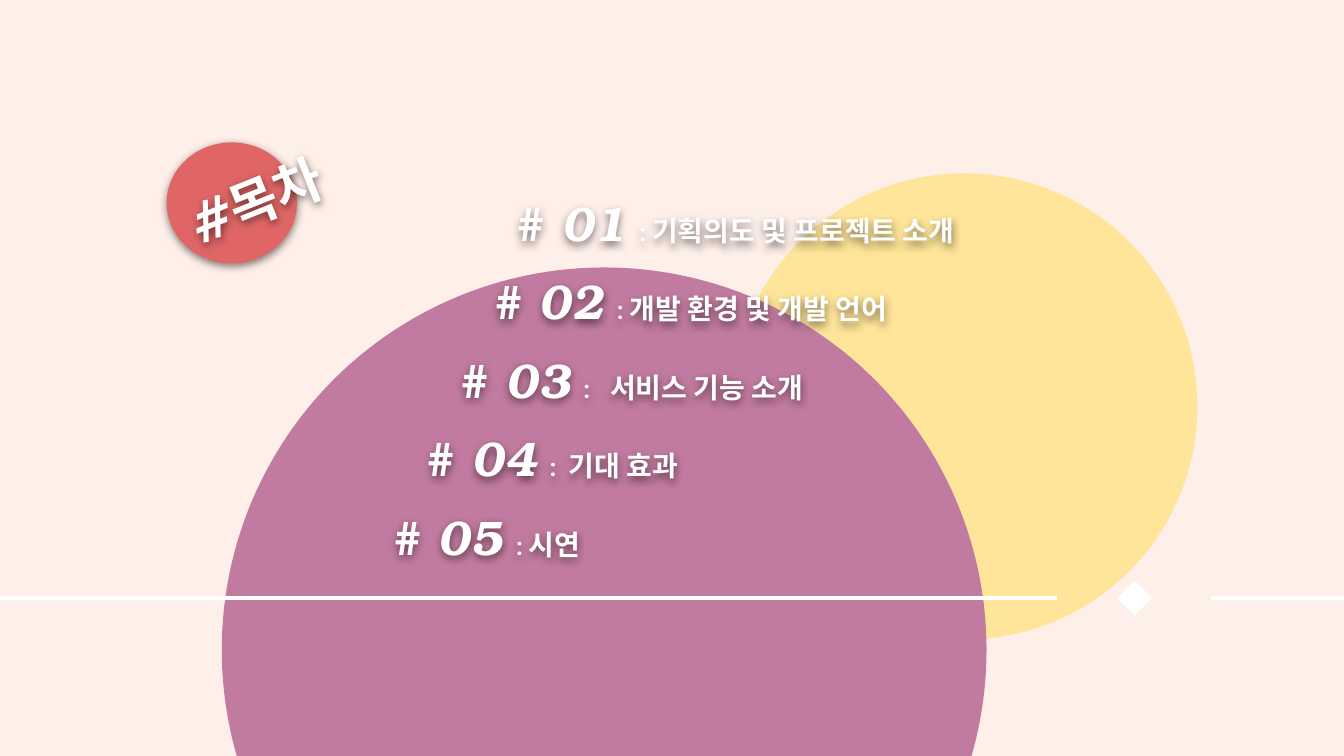
from lxml import etree
from pptx import Presentation
from pptx.dml.color import RGBColor
from pptx.enum.shapes import MSO_CONNECTOR, MSO_SHAPE
from pptx.enum.text import MSO_ANCHOR
from pptx.oxml.ns import qn
from pptx.util import Pt

OVAL, DIAMOND = MSO_SHAPE.OVAL, MSO_SHAPE.DIAMOND
STRAIGHT, TOP = MSO_CONNECTOR.STRAIGHT, MSO_ANCHOR.TOP

THEME = {
    "bg": "FFEFE9", "yellow": "FFE599", "purple": "C27BA0", "red": "E06666",
    "white": "FFFFFF", "shadow": "000000",
    "display": "TeX Gyre Bonum", "body": "Roboto", "hash": "Cambria",
    "hash_size": 36, "title_size": 28, "number_size": 26,
    "colon_size": 13, "item_size": 15,
}

# Content: number, separator, label, left edge
TITLE = ("#", "목차")
ITEMS = [
    ("# 01", "  : ", "기획의도 및 프로젝트 소개", 267),
    ("# 02", "  : ", "개발 환경 및 개발 언어", 255),
    ("# 03", "  : ", "  서비스 기능 소개", 237),
    ("# 04", "  :  ", "기대 효과", 219),
    ("# 05", "  : ", "시연", 201),
]
FIRST_TOP, ROW_STEP = 91.5, 42
LINE_Y, DIAMOND_SIZE, DIAMOND_LEFT = 320.4, 18.7, 598.5
LINES = [(0, 566), (649, 720)]


def color(name):
    return RGBColor.from_string(THEME[name])


def add_shadow(shape):
    effects = etree.SubElement(shape._element.spPr, qn("a:effectLst"))
    shadow = etree.SubElement(effects, qn("a:outerShdw"), blurRad=str(Pt(4.5)),
                              dist=str(Pt(1.5)), dir="5400000",
                              algn="bl", rotWithShape="0")
    rgb = etree.SubElement(shadow, qn("a:srgbClr"), val=THEME["shadow"])
    etree.SubElement(rgb, qn("a:alpha"), val="50000")


def add_solid(s, kind, fill, left, top, width, height):
    sp = s.shapes.add_shape(kind, Pt(left), Pt(top), Pt(width), Pt(height))
    sp.shadow.inherit = False
    sp.fill.solid()
    sp.fill.fore_color.rgb = color(fill)
    sp.line.fill.background()
    return sp


def add_text(s, runs, left, top, width, height):
    sp = s.shapes.add_textbox(Pt(left), Pt(top), Pt(width), Pt(height))
    add_shadow(sp)
    tf = sp.text_frame
    tf.word_wrap = True
    tf.vertical_anchor = TOP
    tf.margin_left = tf.margin_right = tf.margin_top = tf.margin_bottom = Pt(7.2)
    p = tf.paragraphs[0]
    p.font.bold = True
    p.font.color.rgb = color("white")
    for text, font, size, italic in runs:
        r = p.add_run()
        r.text = text
        r.font.name, r.font.size = THEME[font], Pt(THEME[size])
        r.font.italic = italic
        r.font.bold = True
        r.font.color.rgb = color("white")
    return sp


prs = Presentation()
prs.slide_width, prs.slide_height = Pt(720), Pt(405)
s = prs.slides.add_slide(prs.slide_layouts[6])
s.background.fill.solid()
s.background.fill.fore_color.rgb = color("bg")

# Circles
add_solid(s, OVAL, "yellow", 391.7, 92.9, 249.8, 249.8)
add_solid(s, OVAL, "purple", 118.8, 143.3, 409.7, 409.7)
badge = add_solid(s, OVAL, "red", 89.3, 76.3, 69.8, 64.8)
badge._element.spPr.remove(badge._element.spPr.find(qn("a:effectLst")))
add_shadow(badge)

# Tilted title
hash_mark, word = TITLE
title = add_text(s, [(hash_mark, "hash", "hash_size", True),
                     (word, "display", "title_size", False)], 90, 69.8, 118, 49.7)
title.rotation = 338.2

# Contents list
for i, (number, colon, label, left) in enumerate(ITEMS):
    sp = add_text(s, [(number, "display", "number_size", True),
                      (colon, "body", "colon_size", False),
                      (label, "body", "item_size", False)],
                  left, FIRST_TOP + i * ROW_STEP, 381.6, 27.4)
    p = sp.text_frame.paragraphs[0]
    p.line_spacing, p.space_after = 1.15, Pt(16)

# Rule broken by a diamond
for start, end in LINES:
    line = s.shapes.add_connector(STRAIGHT, Pt(start), Pt(LINE_Y), Pt(end), Pt(LINE_Y))
    line.line.color.rgb = color("white")
    line.line.width = Pt(2.25)
    etree.SubElement(line._element.spPr, qn("a:effectLst"))
add_solid(s, DIAMOND, "white", DIAMOND_LEFT, LINE_Y - DIAMOND_SIZE / 2,
          DIAMOND_SIZE, DIAMOND_SIZE)

prs.save("out.pptx")
